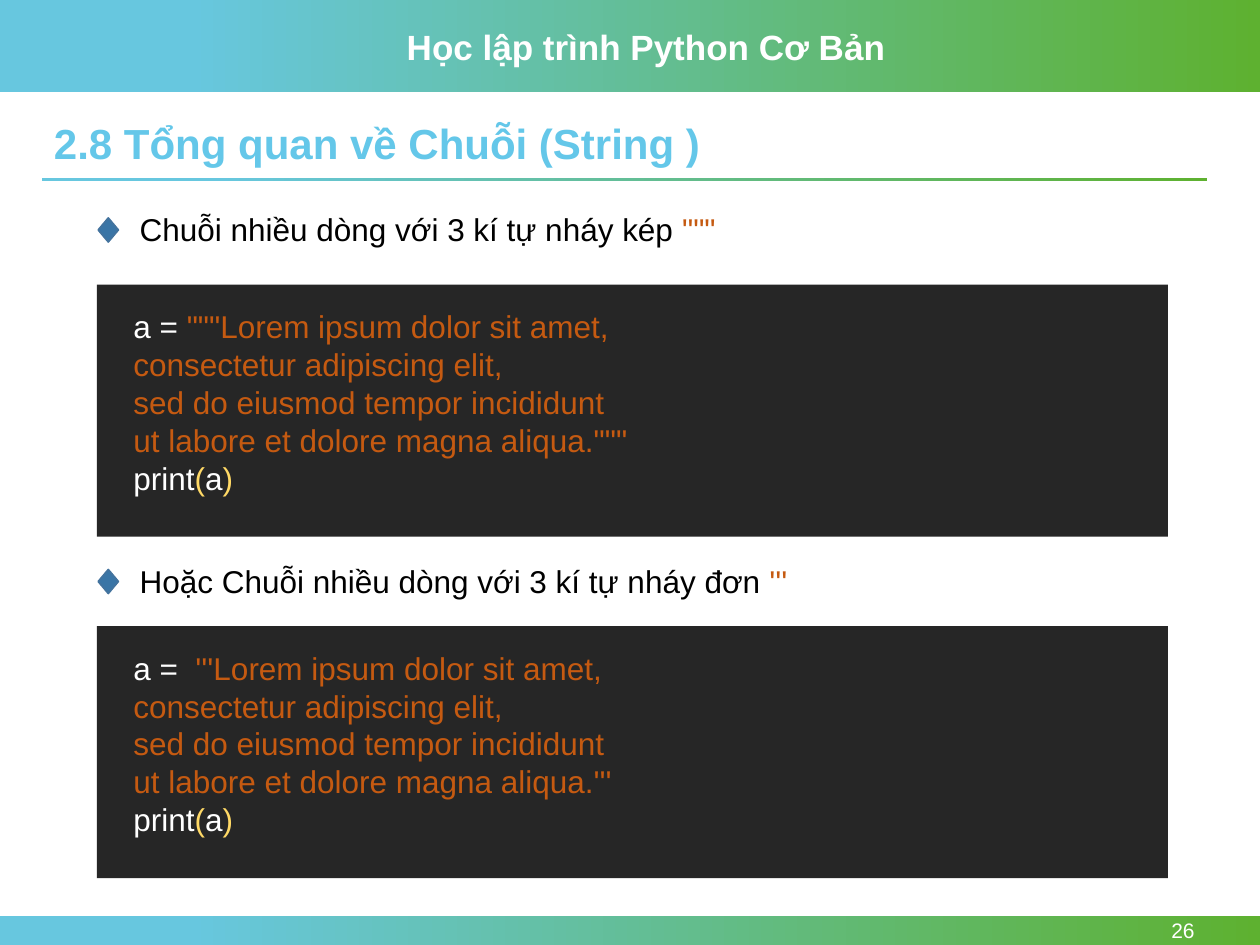
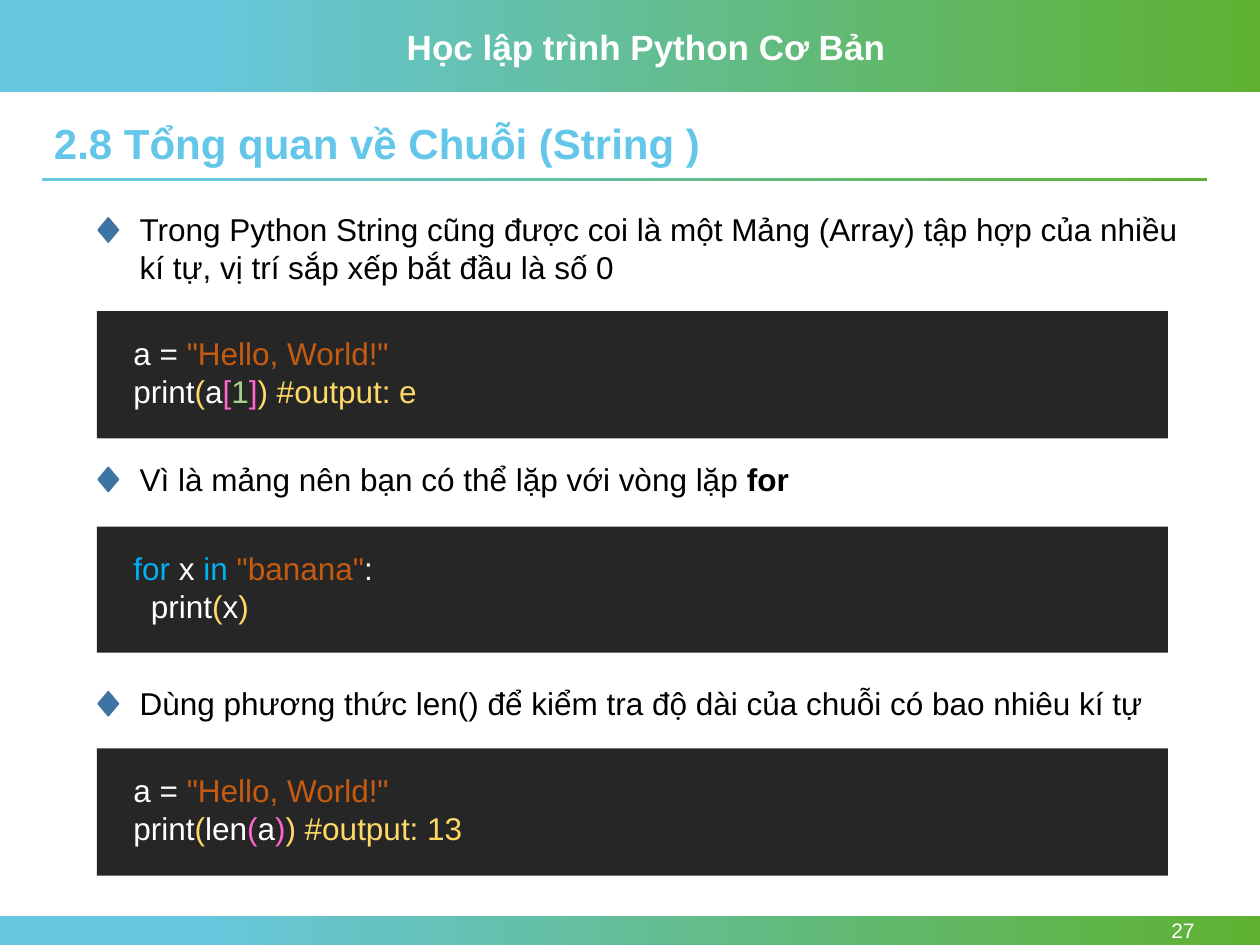
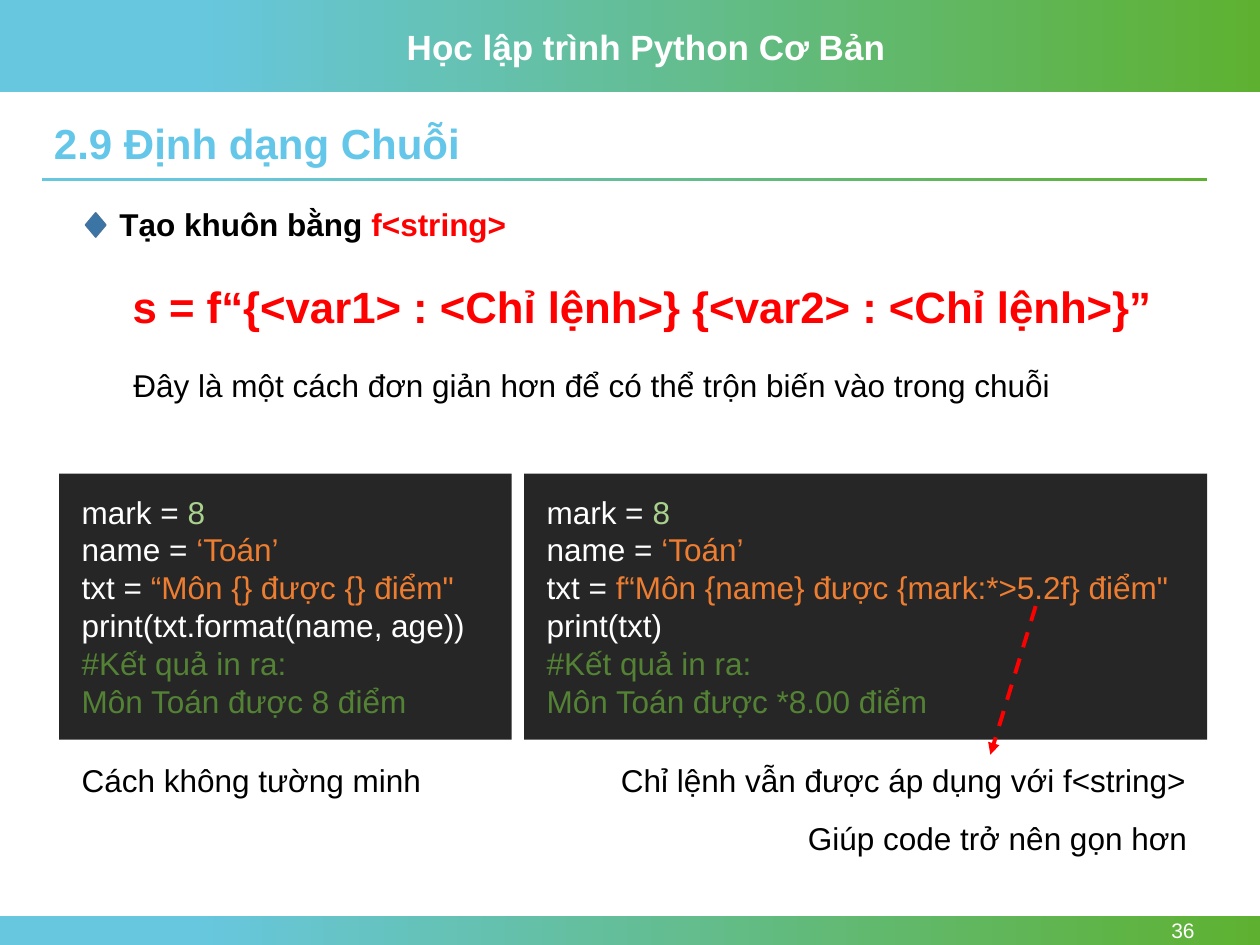
from lxml import etree
from pptx import Presentation
from pptx.dml.color import RGBColor
from pptx.enum import dml, shapes, text
from pptx.oxml.ns import qn
from pptx.util import Inches, Pt

COLORS = {
    "sky": "67C7DF", "leaf": "5EB130", "heading": "64C7E9",
    "diamond": "3A75A6", "diamond_edge": "43739E", "panel": "262626",
    "white": "FFFFFF", "black": "000000", "red": "FF0000",
    "string": "C55A11", "paren": "FFD966", "bracket": "FF66CC",
    "number": "A9D18E", "keyword": "00B0F0",
    "literal": "ED7D31", "comment": "548235",
}
FONT = "Arial"
COURSE = "Học lập trình Python Cơ Bản"
LINE_HEIGHT = 0.304
INSET = 0.05
RIGHT = text.PP_ALIGN.RIGHT


def rgb(name):
    return RGBColor.from_string(COLORS[name])


def add_box(slide, kind, left, top, width, height):
    box = slide.shapes.add_shape(kind, Inches(left), Inches(top), Inches(width), Inches(height))
    box.shadow.inherit = False
    box.line.fill.background()
    return box


def add_band(slide, left, top, width, height):
    band = add_box(slide, shapes.MSO_SHAPE.RECTANGLE, left, top, width, height)
    band.fill.gradient()
    band.fill.gradient_angle = 0
    for stop, position, color in zip(band.fill.gradient_stops, (0.15, 1), ("sky", "leaf")):
        stop.position = position
        stop.color.rgb = rgb(color)


def add_runs(paragraph, runs):
    """Add (color, words[, bold]) runs; a newline in the words is a line break."""
    for color, words, *bold in runs:
        for index, line in enumerate(words.split("\n")):
            if index:
                paragraph.add_line_break()
            if line:
                run = paragraph.add_run()
                run.text = line
                run.font.color.rgb = rgb(color)
                if bold:
                    run.font.bold = bold[0]


def add_text(slide, left, top, width, height, paragraphs, size=18, bold=None, align=None):
    """Add a text box; each paragraph is a list of runs."""
    box = slide.shapes.add_textbox(Inches(left), Inches(top), Inches(width), Inches(height))
    frame = box.text_frame
    frame.word_wrap = True
    frame.auto_size = text.MSO_AUTO_SIZE.SHAPE_TO_FIT_TEXT
    for index, runs in enumerate(paragraphs):
        paragraph = frame.add_paragraph() if index else frame.paragraphs[0]
        paragraph.font.name = FONT
        paragraph.font.size = Pt(size)
        paragraph.font.bold = bold
        paragraph.alignment = align
        add_runs(paragraph, runs)
    return frame


def add_note(slide, left, top, width, words, align=None):
    add_text(slide, left, top, width, 0.4, [[("black", words)]], align=align)


def add_bullet(slide, top, runs, diamond_left=0.78, text_left=1.01, height=0.4, bold=None):
    add_text(slide, text_left, top, 8.57, height, [runs], bold=bold)
    diamond = add_box(slide, shapes.MSO_SHAPE.FLOWCHART_DECISION,
                      diamond_left, top + 0.11, 0.16, 0.19)
    diamond.fill.solid()
    diamond.fill.fore_color.rgb = rgb("diamond")
    diamond.line.color.rgb = rgb("diamond_edge")
    diamond.line.width = Pt(1)


def add_code(slide, top, height, paragraphs, left=0.77, width=8.5, margins=(0.19, 0.13)):
    panel = add_box(slide, shapes.MSO_SHAPE.RECTANGLE, left, top, width, height)
    panel.fill.solid()
    panel.fill.fore_color.rgb = rgb("panel")
    across, down = margins
    lines = sum(1 + sum(run[1].count("\n") for run in runs) for runs in paragraphs)
    add_text(slide, left + across, top + down, width - 2 * across,
             2 * INSET + lines * LINE_HEIGHT, paragraphs)


def add_dashed_arrow(slide, start, end):
    arrow = slide.shapes.add_connector(
        shapes.MSO_CONNECTOR.STRAIGHT, *(Inches(value) for value in start + end))
    arrow.line.color.rgb = rgb("red")
    arrow.line.width = Pt(2.25)
    arrow.line.dash_style = dml.MSO_LINE.DASH
    properties = arrow._element.spPr
    etree.SubElement(properties.find(qn("a:ln")), qn("a:tailEnd"), type="triangle")
    etree.SubElement(properties, qn("a:effectLst"))


def add_lesson_slide(deck, heading, number):
    """Add a slide with the course bands, its heading and its page number."""
    slide = deck.slides.add_slide(deck.slide_layouts[6])
    add_band(slide, 0, 0, 10, 0.73)
    add_band(slide, 0, 7.27, 10, 0.23)
    add_text(slide, 3.13, 0.15, 4, 0.44, [[("white", COURSE)]], size=20, bold=True)
    add_band(slide, 0.33, 1.41, 9.25, 0.03)
    page = add_text(slide, 8.66, 7.27, 0.92, 0.23, [[("white", str(number))]],
                    size=12, align=RIGHT)
    page.auto_size = text.MSO_AUTO_SIZE.NONE
    page.vertical_anchor = text.MSO_ANCHOR.MIDDLE
    title = add_text(slide, 0.33, 0.93, 9.25, 0.46, [[("heading", heading)]], size=24, bold=True)
    title.paragraphs[0].line_spacing = 0.9
    return slide


def call_print(argument):
    return [("white", "print"), ("paren", "("), ("white", argument), ("paren", ")")]


def lorem_code(gap, quotes):
    lorem = (f"{quotes}Lorem ipsum dolor sit amet,\nconsectetur adipiscing elit,\n"
             f"sed do eiusmod tempor incididunt\nut labore et dolore magna aliqua.{quotes}\n")
    return [[("white", "a = "), ("string", gap + lorem), *call_print("a")]]


def hello_code(*print_runs):
    return [[("white", "a = "), ("string", '"Hello, World!"\n'),
             ("white", "print"), ("paren", "("), *print_runs]]


def mark_code(template, call, result):
    return [
        [("white", "mark = "), ("number", "8")],
        [("white", "name = "), ("literal", "‘Toán’")],
        [("white", "txt = "), ("literal", template)],
        [("white", call)],
        [("comment", "#Kết quả in ra:")],
        [("comment", result)],
    ]


def build_multiline_strings(deck):
    slide = add_lesson_slide(deck, "2.8 Tổng quan về Chuỗi (String )", 26)
    add_bullet(slide, 1.62, [("black", "Chuỗi nhiều dòng với 3 kí tự nháy kép "),
                             ("string", '"""')])
    add_code(slide, 2.26, 2, lorem_code("", '"""'))
    add_bullet(slide, 4.41, [("black", "Hoặc Chuỗi nhiều dòng với 3 kí tự nháy đơn "),
                             ("string", "'''")])
    add_code(slide, 4.97, 2, lorem_code(" ", "'''"))


def build_string_as_array(deck):
    slide = add_lesson_slide(deck, "2.8 Tổng quan về Chuỗi (String )", 27)
    add_bullet(slide, 1.62, [("black", "Trong Python String cũng được coi là một Mảng (Array) "
                              "tập hợp của nhiều kí tự, vị trí sắp xếp bắt đầu là số 0")],
               height=0.71)
    add_code(slide, 2.47, 1.01, hello_code(
        ("white", "a"), ("bracket", "["), ("number", "1"), ("bracket", "]"),
        ("paren", ") #output: e")))
    add_bullet(slide, 3.6, [("black", "Vì là mảng nên bạn có thể lặp với vòng lặp "),
                            ("black", "for", True)])
    add_code(slide, 4.18, 1, [[
        ("keyword", "for"), ("white", " x "), ("keyword", "in "), ("string", '"banana"'),
        ("white", ":\n  "), *call_print("x")]])
    add_bullet(slide, 5.38, [("black", "Dùng phương thức len() để kiểm tra độ dài "
                              "của chuỗi có bao nhiêu kí tự")])
    add_code(slide, 5.94, 1.01, hello_code(
        ("white", "len"), ("bracket", "("), ("white", "a"), ("bracket", ")"),
        ("paren", ") #output: 13")))


def build_string_formatting(deck):
    slide = add_lesson_slide(deck, "2.9 Định dạng Chuỗi", 36)
    add_bullet(slide, 1.58, [("black", "Tạo khuôn bằng "), ("red", "f<string>")],
               diamond_left=0.68, text_left=0.85, bold=True)
    add_text(slide, 0.77, 2.17, 8.65, 0.52,
             [[("red", "s = f“{<var1> : <Chỉ lệnh>} {<var2> : <Chỉ lệnh>}”")]],
             size=25, bold=True, align=text.PP_ALIGN.CENTER)
    add_note(slide, 0.96, 2.86, 8.65,
             "Đây là một cách đơn giản hơn để có thể trộn biến vào trong chuỗi")
    examples = (
        (0.47, 3.59, "“Môn {} được {} điểm\"", "print(txt.format(name, age))",
         "Môn Toán được 8 điểm"),
        (4.16, 5.42, "f“Môn {name} được {mark:*>5.2f} điểm\"", "print(txt)",
         "Môn Toán được *8.00 điểm"),
    )
    for left, width, *code in examples:
        add_code(slide, 3.76, 2.11, mark_code(*code), left, width, margins=(0.08, 0.1))
    add_note(slide, 4.16, 5.99, 5.35, "Chỉ lệnh vẫn được áp dụng với f<string>", RIGHT)
    add_note(slide, 6.2, 6.45, 3.32, "Giúp code trở nên gọn hơn", RIGHT)
    add_note(slide, 0.55, 5.99, 3.26, "Cách không tường minh")
    add_dashed_arrow(slide, (8.22, 4.81), (7.86, 5.99))


def main():
    deck = Presentation()
    deck.slide_width = Inches(10)
    deck.slide_height = Inches(7.5)
    build_multiline_strings(deck)
    build_string_as_array(deck)
    build_string_formatting(deck)
    deck.save("out.pptx")


if __name__ == "__main__":
    main()
